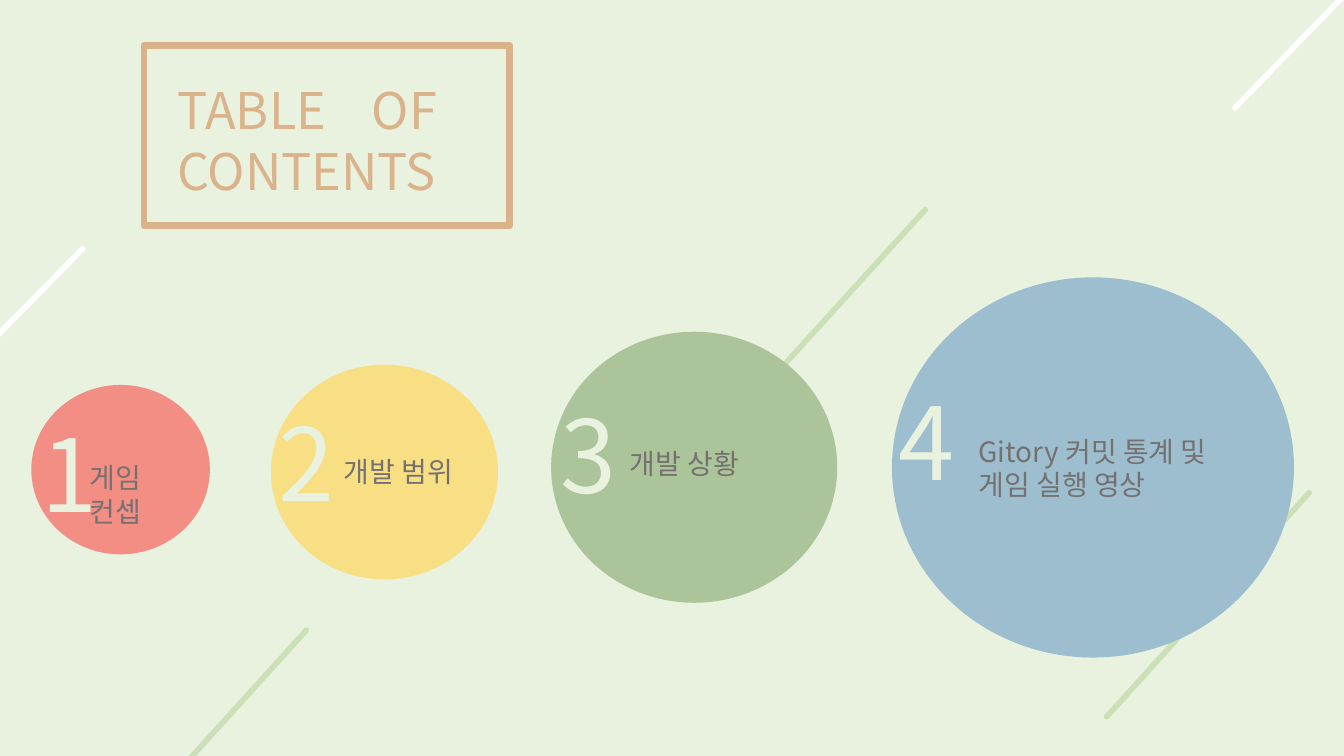
from pptx import Presentation
from pptx import util as u
from pptx.dml.color import RGBColor
from pptx.enum import shapes, text
from pptx.oxml.ns import qn
from lxml import etree

MINT = RGBColor(0xE9, 0xF1, 0xDF)
WHITE = RGBColor(0xFF, 0xFF, 0xFF)
LEAF = RGBColor(0xCC, 0xDF, 0xB7)
TAN = RGBColor(0xDA, 0xB3, 0x8A)
GRAY = RGBColor(0x76, 0x71, 0x71)
CORAL = RGBColor(0xF2, 0x8E, 0x83)
YELLOW = RGBColor(0xF9, 0xDF, 0x84)
GREEN = RGBColor(0xAC, 0xC4, 0x99)
BLUE = RGBColor(0x9C, 0xBE, 0xCE)


class Deck:
    font = "Noto Sans CJK KR"
    frame = {"word_wrap": True, "auto_size": text.MSO_AUTO_SIZE.NONE,
             "vertical_anchor": text.MSO_ANCHOR.TOP}

    def __init__(self, wide, high):
        self.prs = Presentation()
        self.prs.slide_width, self.prs.slide_height = u.Cm(wide), u.Cm(high)
        self.slide = self.prs.slides.add_slide(self.prs.slide_layouts[6])

    def back(self, color):
        fill = self.slide.background.fill
        fill.solid()
        fill.fore_color.rgb = color

    def line(self, ends, color):
        item = self.slide.shapes.add_connector(
            shapes.MSO_CONNECTOR.STRAIGHT, *map(u.Cm, ends))
        item.line.color.rgb = color
        item.line.width = u.Pt(4)
        item.line._get_or_add_ln().set("cap", "rnd")
        etree.SubElement(item._element.spPr, qn("a:effectLst"))

    def shape(self, kind, box, fill=None, edge=None):
        item = self.slide.shapes.add_shape(kind, *map(u.Cm, box))
        item.shadow.inherit = False
        if fill is None:
            item.fill.background()
        else:
            item.fill.solid()
            item.fill.fore_color.rgb = fill
        if edge is None:
            item.line.fill.background()
        else:
            item.line.color.rgb = edge
            item.line.width = u.Pt(5)

    def text(self, box, words, size, color, tab=None):
        frame = self.slide.shapes.add_textbox(*map(u.Cm, box)).text_frame
        for name, value in self.frame.items():
            setattr(frame, name, value)
        frame.text = words
        for para in frame.paragraphs:
            if tab:
                stops = etree.SubElement(para._p.get_or_add_pPr(), qn("a:tabLst"))
                etree.SubElement(stops, qn("a:tab"), pos=str(u.Cm(tab)), algn="l")
            for run in para.runs:
                style = {"name": self.font, "size": u.Pt(size)}
                for name, value in style.items():
                    setattr(run.font, name, value)
                run.font.color.rgb = color
                etree.SubElement(run.font._element, qn("a:ea"), typeface=self.font)


def main():
    deck = Deck(33.87, 19.05)
    deck.back(MINT)
    for ends, color in [
        ((2.08, 6.27, -0.94, 9.35), WHITE),
        ((23.32, 5.28, 18.19, 10.92), LEAF),
        ((32.99, 12.42, 27.89, 18.06), LEAF),
        ((7.72, 15.88, 2.59, 21.54), LEAF),
        ((34.11, -0.36, 31.12, 2.72), WHITE),
    ]:
        deck.line(ends, color)

    topics = [
        ((0.79, 9.7, 4.5, 4.27), CORAL, (0.79, 10.26),
         (2.01, 11.48, 2.79, 0.81), "게임 컨셉"),
        ((6.83, 9.19, 5.72, 5.41), YELLOW, (6.76, 9.98),
         (8.41, 11.33, 3.61, 1.12), "개발 범위"),
        ((13.89, 8.36, 7.21, 6.83), GREEN, (13.87, 9.78),
         (15.62, 11.13, 3.61, 1.12), "개발 상황"),
        ((22.48, 6.99, 10.13, 9.58), BLUE, (22.4, 9.45),
         (24.41, 10.82, 6.99, 1.96), "Gitory 커밋 통계 및\n게임 실행 영상"),
    ]
    for number, (disc, color, spot, box, label) in enumerate(topics, 1):
        deck.shape(shapes.MSO_SHAPE.OVAL, disc, fill=color)
        deck.text((*spot, 2, 2.44), str(number), 72, MINT)
        deck.text(box, label, 20, GRAY)

    deck.shape(shapes.MSO_SHAPE.RECTANGLE, (3.63, 1.14, 9.22, 4.55), edge=TAN)
    deck.text((4.22, 1.88, 8.41, 3.33), "TABLE\tOF\nCONTENTS", 36, TAN, tab=4.9)
    deck.prs.save("out.pptx")


if __name__ == "__main__":
    main()
